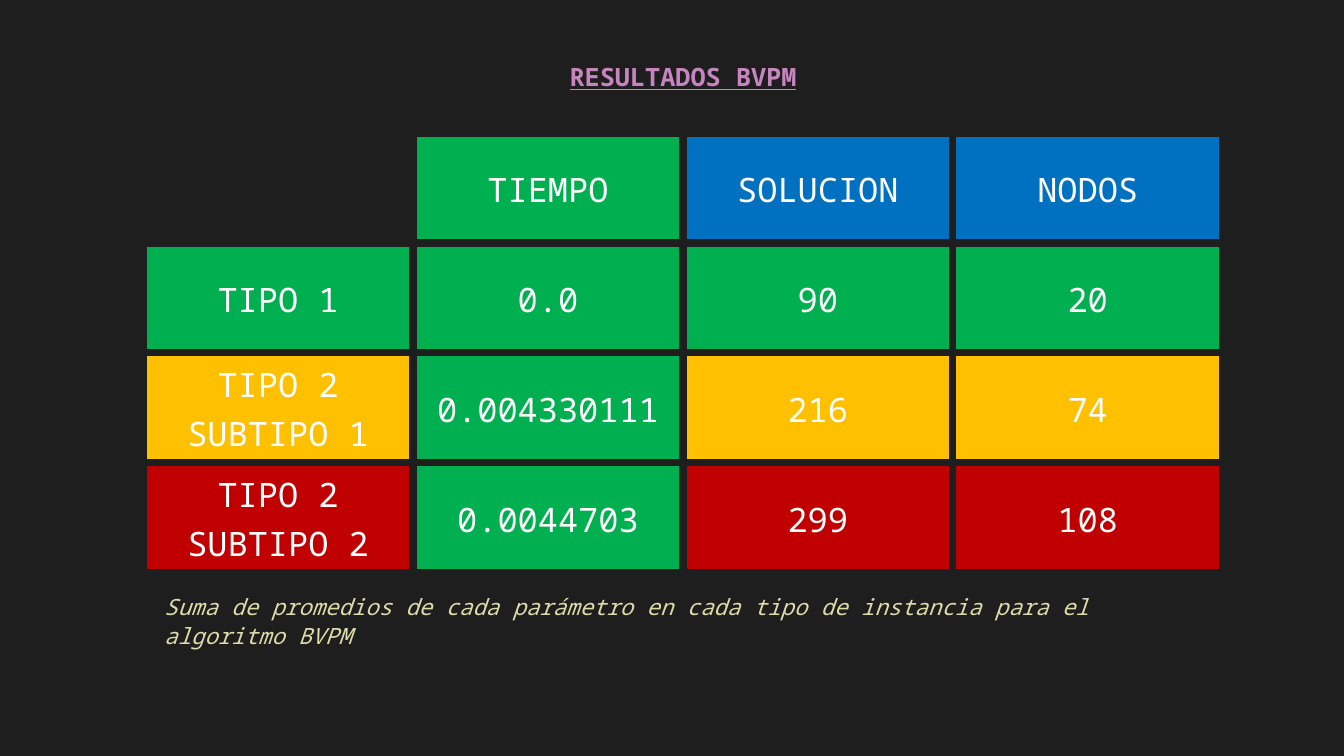
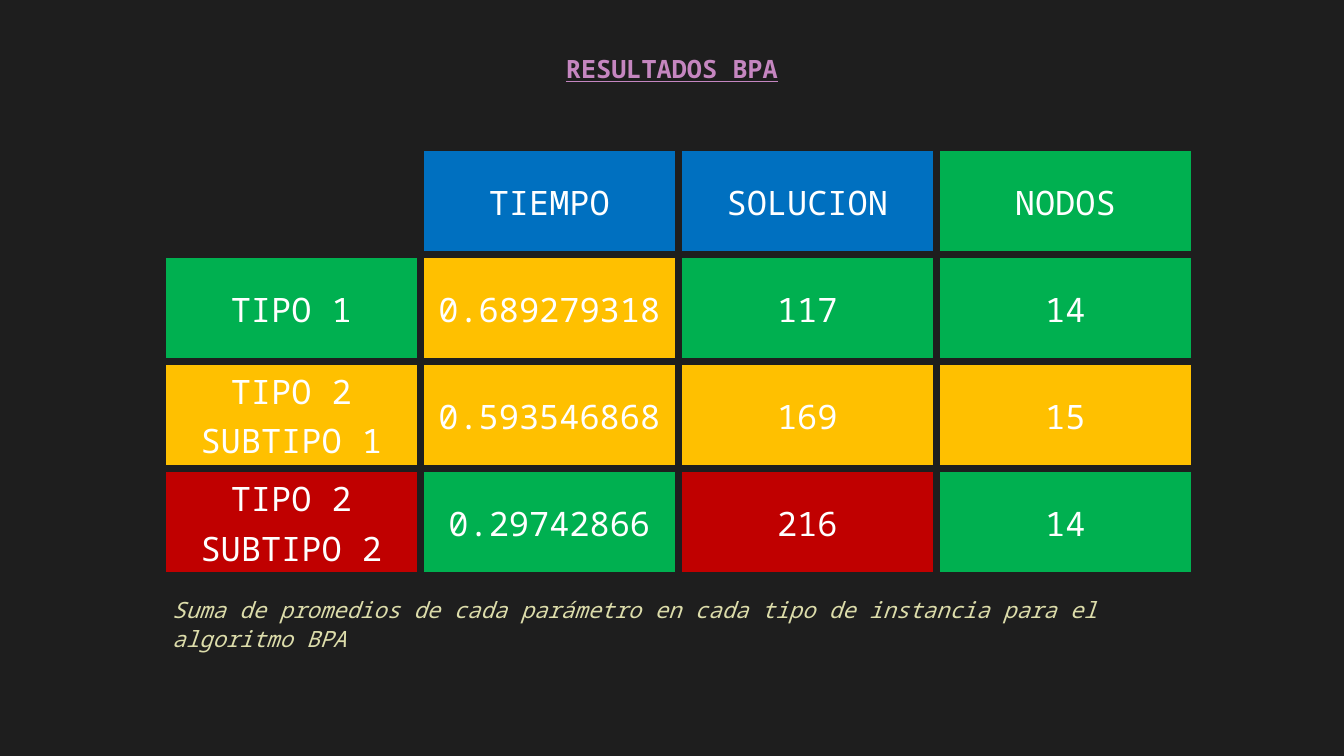
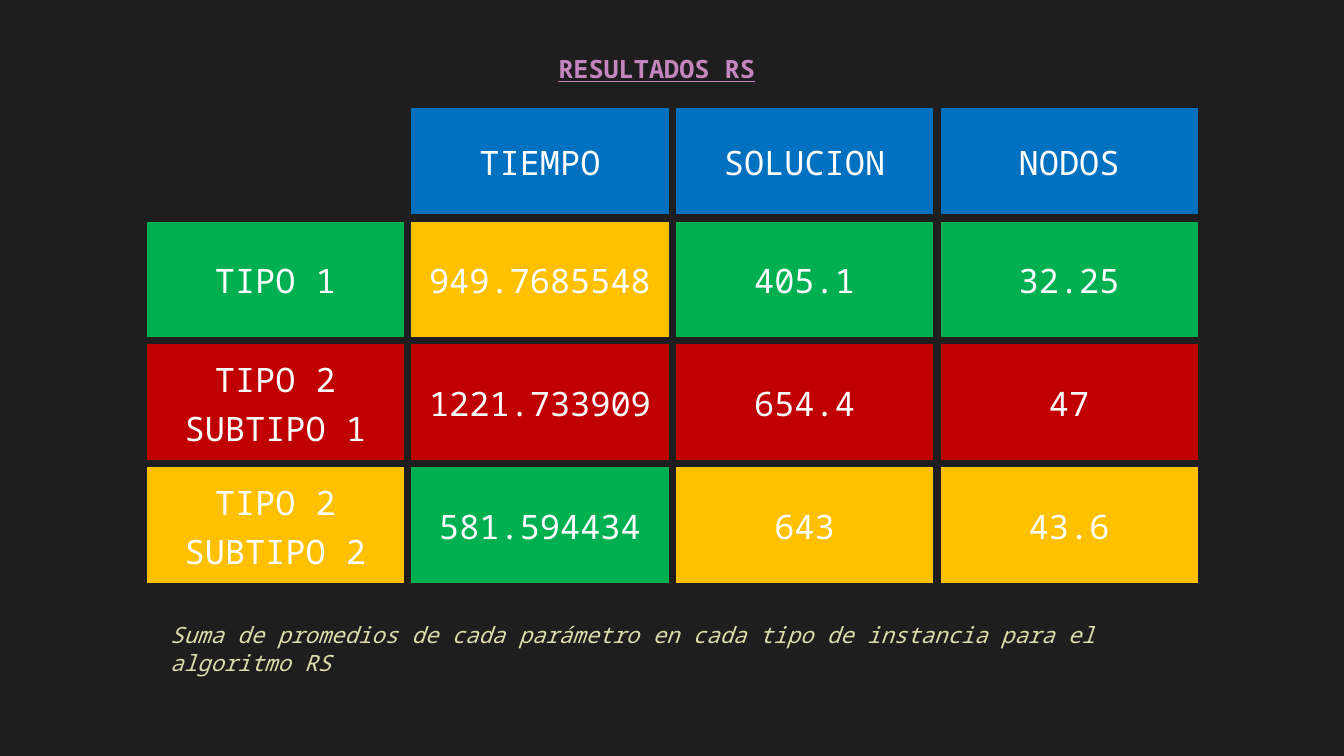
"""Build three result slides, one per algorithm, each with a coloured table."""
from lxml.etree import SubElement as Sub
from pptx import Presentation
from pptx.dml.color import RGBColor
from pptx.enum.text import MSO_ANCHOR as Anchor, MSO_AUTO_SIZE as Fit, PP_ALIGN as Align
from pptx.oxml.ns import qn
from pptx.util import Pt

FONT = "Noto Sans Mono"
DARK, WHITE, PINK, CREAM = "1E1E1E", "FFFFFF", "C586C0", "DCDCAA"
FILLS = {"G": "00B050", "B": "0070C0", "Y": "FFC000", "R": "C00000"}
HEAD = ["", "TIEMPO", "SOLUCION", "NODOS"]
TYPES = ["TIPO 1", "TIPO 2 SUBTIPO 1", "TIPO 2 SUBTIPO 2"]
NOTE = "Suma de promedios de cada parámetro en cada tipo de instancia para el algoritmo "

SLIDES = [
    {"name": "BVPM", "title": (164.2, 38.9), "note": (110.2, 419, 751),
     "table": (102.2, 95), "col": 192.8, "rows": (78.5, 78.5),
     "data": [["0.0", "90", "20"], ["0.004330111", "216", "74"], ["0.0044703", "299", "108"]],
     "fills": ["-GBB", "GGGG", "YGYY", "RGRR"]},
    {"name": "BPA", "title": (156.2, 33.1), "note": (115.9, 421.2, 757.4),
     "table": (115.9, 105.1), "col": 184.3, "rows": (76.5, 76.5),
     "data": [["0.689279318", "117", "14"], ["0.593546868", "169", "15"],
              ["0.29742866", "216", "14"]],
     "fills": ["-BBG", "GYGG", "YYYY", "RGRG"]},
    {"name": "RS", "title": (145.4, 33.1), "note": (114.5, 438.5, 747.4),
     "table": (102.2, 74.2), "col": 189, "rows": (81.4, 87.8),
     "data": [["949.7685548", "405.1", "32.25"], ["1221.733909", "654.4", "47"],
              ["581.594434", "643", "43.6"]],
     "fills": ["-BBB", "GYGG", "RRRR", "YGYY"]},
]


def paint(fill, color):
    fill.solid()
    fill.fore_color.rgb = RGBColor.from_string(color)


def write(frame, text, size, color, align, **style):
    frame.text = text
    para = frame.paragraphs[0]
    para.alignment, para.line_spacing, para.space_after = align, 1.07, Pt(8)
    for run in para.runs:
        font = run.font
        font.name, font.size = FONT, Pt(size)
        font.color.rgb = RGBColor.from_string(color)
        for key, value in style.items():
            setattr(font, key, value)


def add_text(slide, box, *args, **style):
    frame = slide.shapes.add_textbox(*map(Pt, box)).text_frame
    frame.word_wrap, frame.auto_size = True, Fit.SHAPE_TO_FIT_TEXT
    write(frame, *args, **style)


def add_edges(cell):
    props = cell._tc.get_or_add_tcPr()
    for spot, side in enumerate("LRTB"):
        line = Sub(props, qn("a:ln" + side), w=str(Pt(6)))
        Sub(Sub(line, qn("a:solidFill")), qn("a:srgbClr"), val=DARK)
        props.insert(spot, line)


def add_grid(slide, item):
    texts = [HEAD] + [[kind, *row] for kind, row in zip(TYPES, item["data"])]
    first, rest = item["rows"]
    highs = [first] + [rest] * len(TYPES)
    size = item["col"] * len(HEAD), sum(highs)
    table = slide.shapes.add_table(len(texts), len(HEAD),
                                   *map(Pt, item["table"] + size)).table
    table.first_row = table.horz_banding = False
    for col in table.columns:
        col.width = Pt(item["col"])
    for row, high, line, codes in zip(table.rows, highs, texts, item["fills"]):
        row.height = Pt(high)
        for cell, text, code in zip(row.cells, line, codes):
            cell.vertical_anchor = Anchor.MIDDLE
            cell.margin_left = cell.margin_right = Pt(5)
            cell.margin_top = cell.margin_bottom = 0
            if text:
                write(cell.text_frame, text, 24, WHITE, Align.CENTER)
                paint(cell.fill, FILLS[code])
            else:
                cell.fill.background()
            add_edges(cell)


def main():
    deck = Presentation()
    deck.slide_width, deck.slide_height = Pt(960), Pt(540)
    paint(deck.slide_master.background.fill, DARK)
    for item in SLIDES:
        slide = deck.slides.add_slide(deck.slide_layouts[6])
        add_grid(slide, item)
        add_text(slide, item["note"] + (27.4,), NOTE + item["name"], 16, CREAM,
                 Align.LEFT, italic=True)
        add_text(slide, item["title"] + (647.3, 29.5), "RESULTADOS " + item["name"],
                 18, PINK, Align.CENTER, bold=True, underline=True)
    deck.save("out.pptx")


if __name__ == "__main__":
    main()
